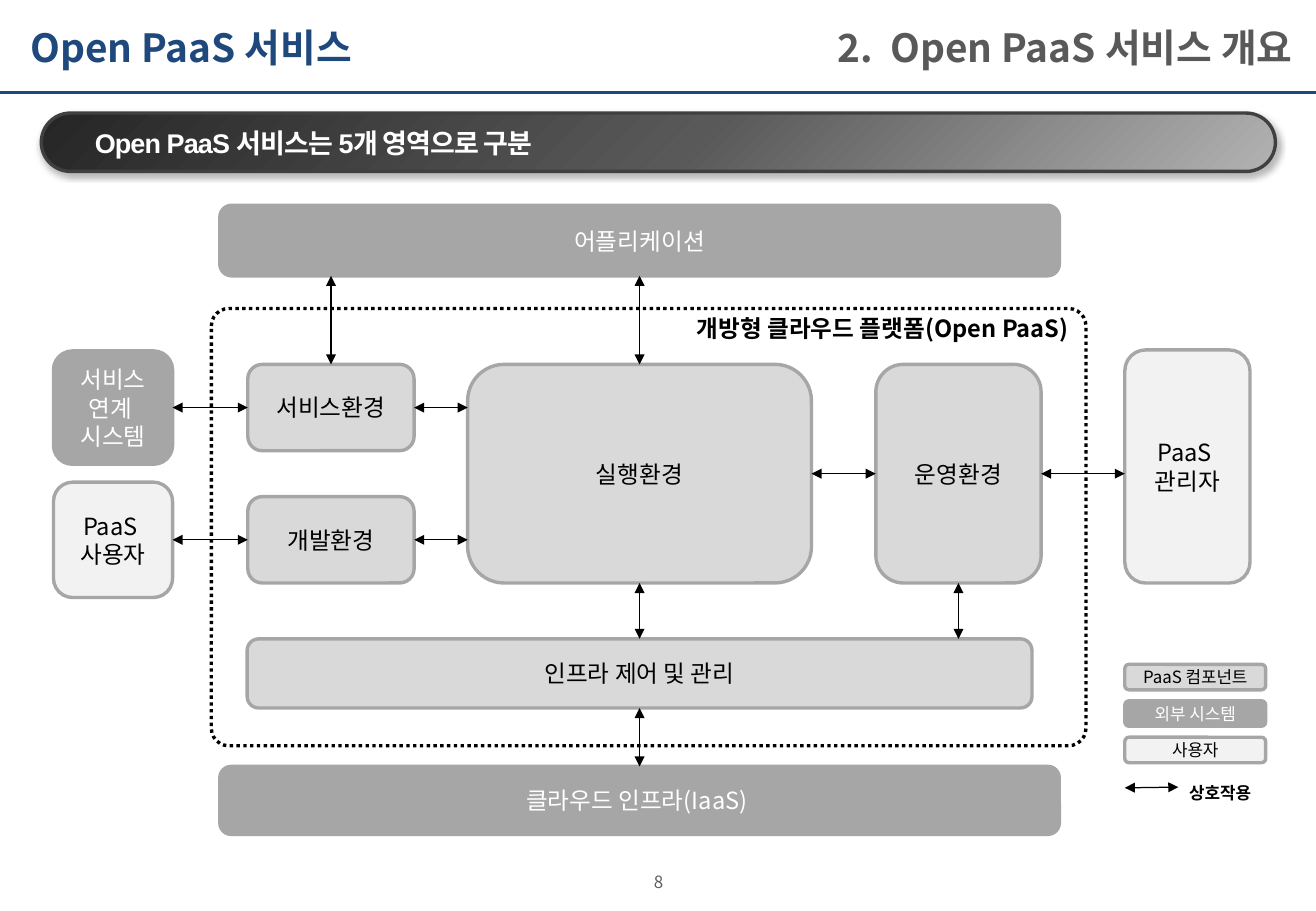
import pptx
import pptx.util
import pptx.dml.color
import pptx.enum.dml
import pptx.enum.shapes
import pptx.enum.text
import pptx.oxml
import pptx.oxml.ns

Pt = pptx.util.Pt
RGBColor = pptx.dml.color.RGBColor
ALIGN = pptx.enum.text.PP_ALIGN
ANCHOR = pptx.enum.text.MSO_ANCHOR
qn = pptx.oxml.ns.qn
NAMESPACE = pptx.oxml.ns.nsdecls("a")

KOREAN_FONT = "Noto Sans CJK KR"
BLACK = RGBColor(0x00, 0x00, 0x00)
WHITE = RGBColor(0xFF, 0xFF, 0xFF)
NAVY = RGBColor(0x1F, 0x49, 0x7D)
TITLE_GRAY = RGBColor(0x59, 0x59, 0x59)
NUMBER_GRAY = RGBColor(0x5F, 0x5F, 0x5F)
BANNER_EDGE = RGBColor(0x40, 0x40, 0x40)
EXTERNAL = RGBColor(0xA6, 0xA6, 0xA6)
COMPONENT = RGBColor(0xD9, 0xD9, 0xD9)
PERSON = RGBColor(0xF2, 0xF2, 0xF2)

deck = pptx.Presentation()
deck.slide_width, deck.slide_height = Pt(780), Pt(540)
page = deck.slides.add_slide(deck.slide_layouts[6])


def write(box, text, size, color, bold=False, align=ALIGN.CENTER, anchor=ANCHOR.MIDDLE,
          wrap=True, insets=(7.2, 3.6, 7.2, 3.6), indent=(0, 0), font=KOREAN_FONT):
    frame = box.text_frame
    frame.word_wrap = wrap
    frame.vertical_anchor = anchor
    (frame.margin_left, frame.margin_top,
     frame.margin_right, frame.margin_bottom) = [Pt(inset) for inset in insets]
    frame.text = text
    for para in frame.paragraphs:
        para.alignment = align
        properties = para._p.get_or_add_pPr()
        properties.set("marL", str(Pt(indent[0])))
        properties.set("indent", str(Pt(indent[1])))
        para.font.size = Pt(size)
        para.font.bold = bold
        para.font.color.rgb = color
        para.font.name = font
        properties.find(qn("a:defRPr")).append(
            pptx.oxml.parse_xml(f'<a:ea {NAMESPACE} typeface="{KOREAN_FONT}"/>'))


def add_line(start, end, color, width, arrows=False):
    line = page.shapes.add_connector(pptx.enum.shapes.MSO_CONNECTOR.STRAIGHT,
                                     *[Pt(length) for length in start + end])
    line.line.color.rgb = color
    line.line.width = Pt(width)
    if arrows:
        for tag in ("headEnd", "tailEnd"):
            line.line._get_or_add_ln().append(
                pptx.oxml.parse_xml(f'<a:{tag} {NAMESPACE} type="triangle"/>'))
    line._element.spPr.append(pptx.oxml.parse_xml(f"<a:effectLst {NAMESPACE}/>"))
    return line


# Header, page number and legend label
add_line((0, 54.7), (780, 54.7), NAVY, 1.5)
hanging = {"indent": (28.8, -28.8), "bold": True}
labels = [
    ((10.8, 2.2, 576.7, 51.1), "Open PaaS 서비스", 23, NAVY, {"align": ALIGN.LEFT, **hanging}),
    ((467.3, 2.2, 306, 51.1), "2.  Open PaaS 서비스 개요", 23, TITLE_GRAY,
     {"align": ALIGN.RIGHT, "wrap": False, **hanging}),
    ((347.8, 517, 85, 11.5), "8", 10, NUMBER_GRAY, {"insets": (0, 0, 0, 0)}),
    ((696.2, 460.1, 54, 14.4), "상호작용", 10, BLACK,
     {"bold": True, "anchor": ANCHOR.TOP, "wrap": False, "font": "Arial"}),
]
for place, text, size, color, options in labels:
    box = page.shapes.add_textbox(*[Pt(length) for length in place])
    write(box, text, size, color, **options)

# Boxes: name, place, fill, text, text size
boxes = [
    ("platform", (125.3, 182.9, 518.4, 259.2), None, "개방형 클라우드 플랫폼(Open PaaS)", 14),
    ("application", (130.3, 121.7, 497.6, 41.8), EXTERNAL, "어플리케이션", 14),
    ("cloud", (130.3, 454.3, 497.6, 40.3), EXTERNAL, "클라우드 인프라(IaaS) ", 14),
    ("linked", (31.7, 208, 70.6, 67.2), EXTERNAL, "서비스 연계 \n시스템", 14),
    ("user", (31.7, 285.8, 70.6, 68.4), PERSON, "PaaS \n사용자", 14),
    ("admin", (666.7, 207.4, 74.2, 138.2), PERSON, "PaaS \n관리자", 14),
    ("service", (146.9, 216, 98.6, 51.2), COMPONENT, "서비스환경", 14),
    ("development", (146.9, 294.4, 98.6, 51.2), COMPONENT, "개발환경", 14),
    ("runtime", (277.2, 216, 203.8, 129.6), COMPONENT, "실행환경", 14),
    ("operation", (519.1, 216, 98, 129.6), COMPONENT, "운영환경", 14),
    ("infra", (146.5, 378.7, 465.2, 41), COMPONENT, "인프라 제어 및 관리", 14),
]
legend = [(COMPONENT, "PaaS 컴포넌트"), (EXTERNAL, "외부 시스템"), (PERSON, "사용자")]
for row, (fill, text) in enumerate(legend):
    boxes.append((text, (666.7, 393.8 + 21.6 * row, 83.5, 15.1), fill, text, 10))
boxes.append(("banner", (24.5, 67, 731.5, 34.6), TITLE_GRAY,
              "Open PaaS 서비스는 5개 영역으로 구분", 16))

shapes, places = {}, {}
for name, place, fill, text, size in boxes:
    box = page.shapes.add_shape(pptx.enum.shapes.MSO_SHAPE.ROUNDED_RECTANGLE,
                                *[Pt(length) for length in place])
    box.shadow.inherit = False
    box.line.width = Pt(2)
    shapes[name], places[name] = box, place
    if name == "platform":
        box.adjustments[0] = 0.04
        box.fill.background()
        box.line.color.rgb = BLACK
        box.line.dash_style = pptx.enum.dml.MSO_LINE.ROUND_DOT
        write(box, text, size, BLACK, bold=True, align=ALIGN.RIGHT,
              anchor=ANCHOR.TOP, insets=(7.2, 0, 7.2, 3.6))
        continue
    box.fill.solid()
    box.fill.fore_color.rgb = fill
    if name == "banner":
        box.adjustments[0] = 0.5
        box.line.color.rgb = BANNER_EDGE
        write(box, text, size, WHITE, bold=True, align=ALIGN.LEFT, wrap=False,
              insets=(5.8, 5.8, 5.8, 5.8), indent=(20.9, 0), font="Arial")
    else:
        box.line.color.rgb = EXTERNAL
        write(box, text, size, WHITE if fill == EXTERNAL else BLACK)

# Banner gradient, shadow and letter spacing
banner = shapes["banner"]
stops = "".join(f'<a:gs pos="{position}"><a:srgbClr val="{color}"/></a:gs>'
                for position, color in ((0, "B2B2B2"), (47000, "595959"), (100000, "262626")))
gradient = pptx.oxml.parse_xml(
    f'<a:gradFill {NAMESPACE} rotWithShape="1"><a:gsLst>{stops}</a:gsLst>'
    '<a:path path="circle"><a:fillToRect l="100000" t="100000"/></a:path></a:gradFill>')
properties = banner._element.spPr
properties.replace(properties.find(qn("a:solidFill")), gradient)
properties.find(qn("a:effectLst")).append(pptx.oxml.parse_xml(
    f'<a:outerShdw {NAMESPACE} blurRad="{Pt(4)}" dist="{Pt(2)}" dir="4200000" rotWithShape="0">'
    '<a:srgbClr val="000000"><a:alpha val="28000"/></a:srgbClr></a:outerShdw>'))
banner.text_frame.paragraphs[0]._p.pPr.find(qn("a:defRPr")).set("spc", "-50")

# Arrows: each end is a box with a side, or a free point
TOP, LEFT, BOTTOM, RIGHT = range(4)
arrows = [
    (("service", TOP), (196.2, 163.5)),
    (("application", BOTTOM), ("runtime", TOP)),
    (("linked", RIGHT), ("service", LEFT)),
    (("user", RIGHT), ("development", LEFT)),
    (("service", RIGHT), (277.2, 241.6)),
    (("development", RIGHT), (277.2, 320)),
    (("runtime", RIGHT), ("operation", LEFT)),
    (("operation", RIGHT), (666.7, 280.8)),
    (("runtime", BOTTOM), ("infra", TOP)),
    (("operation", BOTTOM), (568.1, 378.7)),
    (("infra", BOTTOM), ("cloud", TOP)),
    ((666.7, 467), (698.4, 466.6)),
]
for ends in arrows:
    points = []
    for end in ends:
        if end[0] in places:
            left, top, width, height = places[end[0]]
            sides = [(left + width / 2, top), (left, top + height / 2),
                     (left + width / 2, top + height), (left + width, top + height / 2)]
            points.append(sides[end[1]])
        else:
            points.append(end)
    arrow = add_line(*points, BLACK, 0.75, arrows=True)
    for end, connect in zip(ends, (arrow.begin_connect, arrow.end_connect)):
        if end[0] in shapes:
            connect(shapes[end[0]], end[1])

deck.save("out.pptx")
